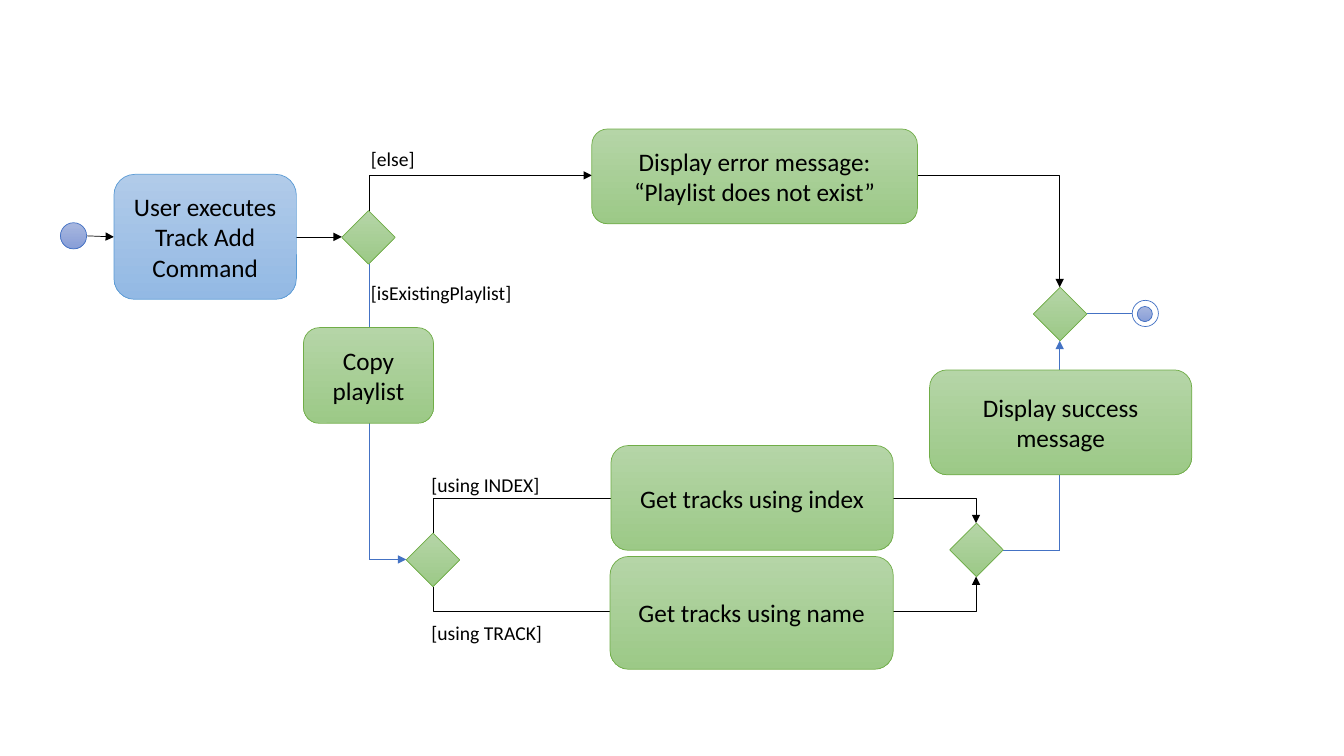
from pptx import Presentation
from pptx.dml.color import RGBColor
from pptx.enum.shapes import MSO_CONNECTOR as CONN, MSO_SHAPE as SHAPE
from pptx.enum.text import MSO_ANCHOR as ANCHOR, MSO_AUTO_SIZE as AUTO, PP_ALIGN as ALIGN
from pptx.oxml.ns import qn
from pptx.util import Pt
from lxml import etree

# Content: lengths in px, 100 px to the inch
PX = 9144
COLORS = {
    "black": "000000", "white": "FFFFFF", "line_blue": "4472C4",
    "marker": ("A8B7DF", "889ED7", "4472C4"),   # top, bottom, outline
    "command": ("B1CBE9", "93B9E4", "5B9BD5"),
    "step": ("B5D5A7", "9CC987", "70AD47"),
}
FONT = "Calibri"

STEPS = [  # text, style, left, top, width, height
    ("User executes Track Add\nCommand", "command", 113, 173, 181, 124),
    ("Display error message: “Playlist does not exist”", "step", 587, 128, 323, 94),
    ("Copy playlist", "step", 301, 325, 129, 95),
    ("Get tracks using name", "step", 605, 552, 281, 112),
    ("Get tracks using index", "step", 606, 442, 280, 104),
    ("Display success message", "step", 922, 367, 260, 104),
]
DIAMOND = 53
DECISIONS = [(339, 209), (403, 529), (942, 519), (1025, 285)]  # left, top
GUARDS = [  # text, left, top, width
    ("[else]", 358, 141, 172),
    ("[isExistingPlaylist]", 358, 274, 338),
    ("[using INDEX]", 418, 464, 213),
    ("[using TRACK]", 418, 611, 224),
]
START = (60, 221, 26)  # left, top, diameter
END_RING, END_DOT = (1123, 298, 26), (1128, 304, 15)
FLOWS = [  # from, to, color, arrowhead
    ((86, 234), (113, 235), "black", True),
    ((294, 235), (339, 235), "black", True),
    ((366, 262), (366, 555), "line_blue", False),
    ((366, 555), (403, 555), "line_blue", True),
    ((995, 546), (1051, 546), "line_blue", False),
    ((1051, 546), (1051, 338), "line_blue", True),
    ((1078, 311), (1123, 311), "line_blue", False),
]
CORNER_UP = ((366, 209), (587, 174))
CORNER_DOWN = ((910, 174), (1051, 285))
BRANCHES = [  # from, to, height of the middle run
    ((430, 529), (968, 519), 494),
    ((430, 581), (968, 572), 606),
]


def rgb(name):
    return RGBColor.from_string(COLORS.get(name, name))


def write(sp, text, size=18, align=ALIGN.CENTER, anchor=ANCHOR.MIDDLE, color="black"):
    tf = sp.text_frame
    tf.word_wrap = True
    tf.vertical_anchor = anchor
    for i, line in enumerate(text.split("\n")):
        p = tf.paragraphs[0] if i == 0 else tf.add_paragraph()
        p.alignment = align
        r = p.add_run()
        r.text = line
        r.font.name, r.font.size, r.font.color.rgb = FONT, Pt(size), rgb(color)


def add_node(shapes, kind, left, top, width, height, style):
    sp = shapes.add_shape(kind, left * PX, top * PX, width * PX, height * PX)
    sp.shadow.inherit = False
    if style == "ring":
        sp.fill.solid()
        sp.fill.fore_color.rgb = rgb("white")
        outline = "line_blue"
    else:
        *stops, outline = COLORS[style]
        sp.fill.gradient()
        sp.fill.gradient_angle = 270
        for stop, color in zip(sp.fill.gradient_stops, stops):
            stop.color.rgb = rgb(color)
    sp.line.color.rgb = rgb(outline)
    sp.line.width = Pt(0.5)
    return sp


def add_flow(shapes, kind, start, end, color="black", arrow=True):
    c = shapes.add_connector(kind, *(round(v * PX) for v in (*start, *end)))
    c.line.color.rgb = rgb(color)
    c.line.width = Pt(0.5)
    if arrow:
        etree.SubElement(c.line._get_or_add_ln(), qn("a:tailEnd"), type="triangle")
    etree.SubElement(c._element.spPr, qn("a:effectLst"))
    return c


def add_elbow(shapes, start, end, middle=None, upright=False):
    """Elbow with one corner, or two when middle is given; upright ones leave vertically."""
    (x1, y1), (x2, y2) = start, end
    if upright:  # a quarter turn swaps the sides of the box around its centre
        cx, cy = (x1 + x2) / 2, (y1 + y2) / 2
        dx, dy = (y1 - y2) / 2, (x2 - x1) / 2
        start, end = (cx + dx, cy + dy), (cx - dx, cy - dy)
    c = add_flow(shapes, CONN.ELBOW, start, end)
    spPr = c._element.spPr
    geom = spPr.find(qn("a:prstGeom"))
    if upright:
        spPr.find(qn("a:xfrm")).set("rot", "5400000")
    if middle is None:
        geom.set("prst", "bentConnector2")
    else:
        ratio = round((y1 - middle) / (y1 - y2) * 100000)
        etree.SubElement(geom.find(qn("a:avLst")), qn("a:gd"), name="adj1", fmla=f"val {ratio}")


def main():
    prs = Presentation()
    prs.slide_width, prs.slide_height = 1333 * PX, 750 * PX
    shapes = prs.slides.add_slide(prs.slide_layouts[6]).shapes

    # Flows lie behind the steps
    for start, end, color, arrow in FLOWS:
        add_flow(shapes, CONN.STRAIGHT, start, end, color, arrow)
    add_elbow(shapes, *CORNER_UP, upright=True)
    add_elbow(shapes, *CORNER_DOWN)
    for start, end, middle in BRANCHES:
        add_elbow(shapes, start, end, middle, upright=True)

    # Steps and decisions
    for text, style, *box in STEPS:
        write(add_node(shapes, SHAPE.ROUNDED_RECTANGLE, *box, style), text)
    for left, top in DECISIONS:
        add_node(shapes, SHAPE.DIAMOND, left, top, DIAMOND, DIAMOND, "step")

    # Start and end markers
    end_marker = shapes.add_group_shape().shapes
    for parent, (left, top, size), style in [
        (shapes, START, "marker"), (end_marker, END_RING, "ring"), (end_marker, END_DOT, "marker"),
    ]:
        add_node(parent, SHAPE.OVAL, left, top, size, size, style)

    # Guard labels
    for text, left, top, width in GUARDS:
        label = shapes.add_textbox(left * PX, top * PX, width * PX, 34 * PX)
        write(label, text, size=14, align=ALIGN.LEFT, anchor=ANCHOR.TOP)
        label.text_frame.auto_size = AUTO.SHAPE_TO_FIT_TEXT

    prs.save("out.pptx")


if __name__ == "__main__":
    main()
